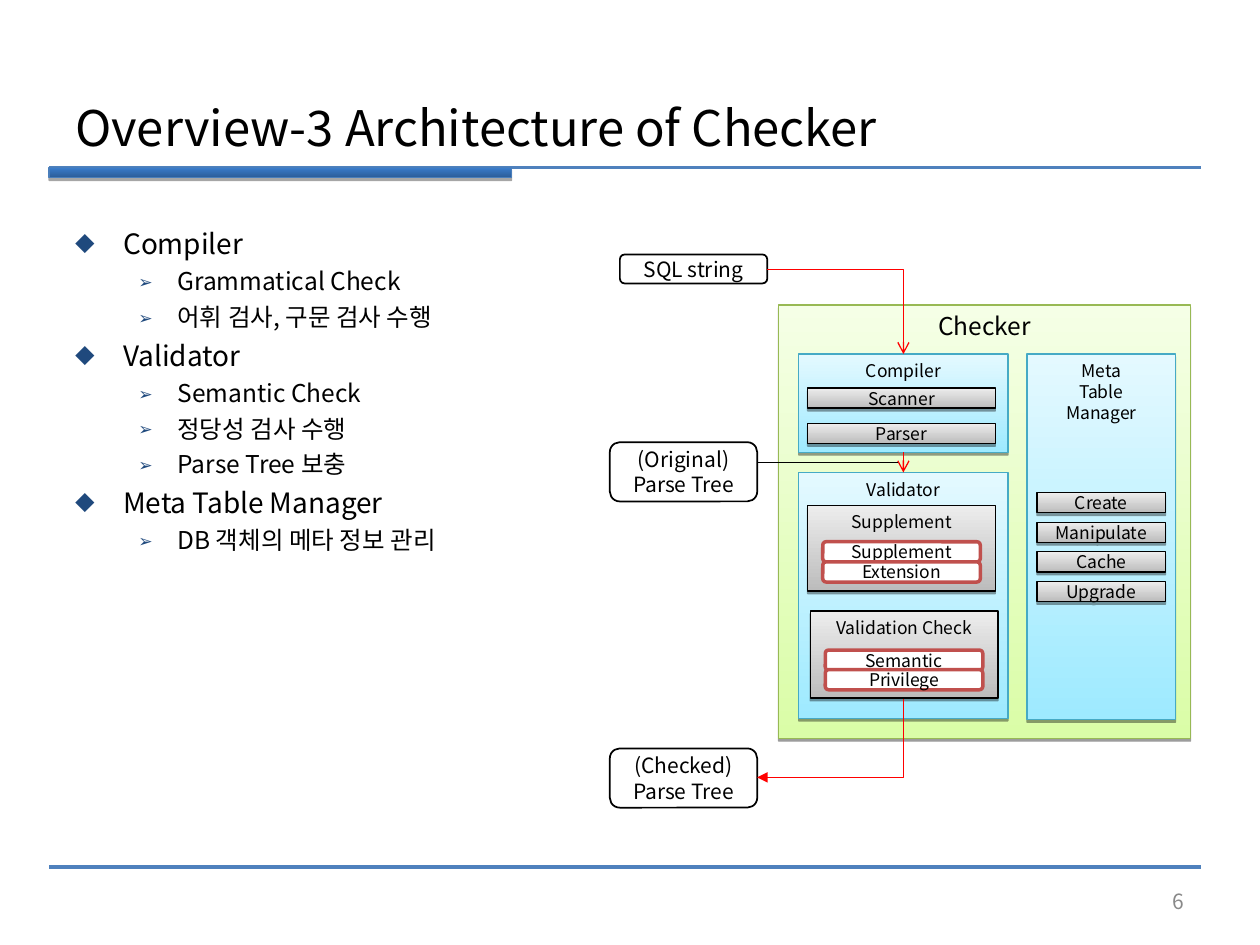
from dataclasses import dataclass

from lxml import etree
from pptx import Presentation
from pptx.dml.color import RGBColor
from pptx.enum.shapes import MSO_CONNECTOR, MSO_SHAPE
from pptx.enum.text import MSO_ANCHOR, PP_ALIGN
from pptx.oxml.ns import qn
from pptx.shapes.autoshape import Shape
from pptx.shapes.connector import Connector
from pptx.slide import Slide
from pptx.text.text import TextFrame
from pptx.util import Emu, Inches, Pt

RECTANGLE = MSO_SHAPE.RECTANGLE
ROUNDED = MSO_SHAPE.ROUNDED_RECTANGLE
STRAIGHT = MSO_CONNECTOR.STRAIGHT
ELBOW = MSO_CONNECTOR.ELBOW
TOP, MIDDLE = MSO_ANCHOR.TOP, MSO_ANCHOR.MIDDLE
LEFT, CENTER, RIGHT = PP_ALIGN.LEFT, PP_ALIGN.CENTER, PP_ALIGN.RIGHT
TOP_SIDE, BOTTOM_SIDE = 0, 2

FONT = "Noto Sans CJK KR"
COLUMNS, ROWS = 100, 75
CELL = Inches(0.1)
BLACK, RED, BLUE = "000000", "FF0000", "4F81BD"


@dataclass(frozen=True)
class Style:
    fill: tuple[str, ...]
    line: str
    width: float = 0.75
    size: float = 10
    anchor: MSO_ANCHOR = MIDDLE
    preset: MSO_SHAPE = RECTANGLE
    shadow: int = 38


@dataclass(frozen=True)
class Block:
    text: str
    left: float
    top: float
    width: float
    height: float
    style: Style


@dataclass(frozen=True)
class Level:
    size: float
    before: float
    margin: float
    hanging: float
    bullet: str


GREY = ("BCBCBC", "EDEDED")
AQUA = ("9EEAFF", "E4F9FF")
BAR = Style(("2C5D98", "3A7CCB"), "4A7EBB", shadow=35)
FRAME = Style(("DAFDA7", "F5FFE6"), "98B954", size=14, anchor=TOP)
MODULE = Style(AQUA, "46AAC5", anchor=TOP)
GROUP = Style(GREY, BLACK, anchor=TOP)
STEP = Style(GREY, BLACK)
DATA = Style(("FFFFFF",), BLACK, 1, 12, preset=ROUNDED, shadow=0)
TASK = Style(("FFFFFF",), "C0504D", 2, preset=ROUNDED, shadow=0)

HEADING = Level(16, 4, 0.38, 0.38, "◆")
DETAIL = Level(14, 3.5, 0.81, 0.31, "➢")
OUTLINE = [
    ("Compiler", HEADING),
    ("Grammatical Check", DETAIL),
    ("어휘 검사, 구문 검사 수행", DETAIL),
    ("Validator", HEADING),
    ("Semantic Check", DETAIL),
    ("정당성 검사 수행", DETAIL),
    ("Parse Tree 보충", DETAIL),
    ("Meta Table Manager", HEADING),
    ("DB 객체의 메타 정보 관리", DETAIL),
]

COMPILER = Block("Compiler", 63.4, 28.1, 16.6, 7.8, MODULE)
VALIDATOR = Block("Validator", 63.4, 37.5, 16.6, 19.5, MODULE)


def stack(names: str, left: float, top: float, width: float, pitch: float, style: Style) -> list[Block]:
    return [Block(name, left, top + row * pitch, width, 1.6, style) for row, name in enumerate(names.split())]


BLOCKS = [
    Block("", 3.9, 13.3, 36.7, 0.8, BAR),
    Block("Checker", 61.8, 24.2, 32.7, 34.4, FRAME),
    COMPILER,
    *stack("Scanner Parser", 64.1, 30.8, 14.9, 2.8, STEP),
    Block("SQL string", 49.2, 20.2, 11.7, 2.3, DATA),
    VALIDATOR,
    Block("Supplement", 64.1, 40.1, 14.9, 6.8, GROUP),
    *stack("Supplement Extension", 65.3, 43, 12.5, 1.6, TASK),
    Block("Validation Check", 64.3, 48.5, 14.9, 6.9, GROUP),
    *stack("Semantic Privilege", 65.5, 51.6, 12.5, 1.55, TASK),
    Block("(Original)\nParse Tree", 48.4, 35.1, 11.7, 4.7, DATA),
    Block("(Checked)\nParse Tree", 48.4, 59.4, 11.7, 4.7, DATA),
    Block("Meta\nTable\nManager", 81.5, 28.1, 11.8, 29, MODULE),
    *stack("Create Manipulate Cache Upgrade", 82.3, 39.1, 10.2, 2.35, STEP),
]


def cells(*counts: float) -> list[Emu]:
    return [Emu(round(count * CELL)) for count in counts]


def color(value: str) -> RGBColor:
    return RGBColor.from_string(value)


def add_element(parent, tag: str, **attributes):
    return etree.SubElement(parent, qn(tag), {name: str(value) for name, value in attributes.items()})


def write(frame: TextFrame, lines: list[str], size: float, ink: str, align: PP_ALIGN, anchor: MSO_ANCHOR) -> None:
    for name, value in {"word_wrap": True, "vertical_anchor": anchor}.items():
        setattr(frame, name, value)
    for index, line in enumerate(lines):
        para = frame.add_paragraph() if index else frame.paragraphs[0]
        para.alignment = align
        span = para.add_run()
        span.text = line
        for name, value in {"name": FONT, "size": Pt(size)}.items():
            setattr(span.font, name, value)
        span.font.color.rgb = color(ink)
        add_element(span.font._element, "a:ea", typeface=FONT)


def add_label(slide: Slide, lines: list[str], place: tuple[float, ...], size: float,
              ink: str = BLACK, align: PP_ALIGN = LEFT, anchor: MSO_ANCHOR = MIDDLE) -> TextFrame:
    frame = slide.shapes.add_textbox(*cells(*place)).text_frame
    write(frame, lines, size, ink, align, anchor)
    return frame


def add_outline(slide: Slide) -> None:
    frame = add_label(slide, [text for text, _ in OUTLINE], (5, 17.5, 44.2, 49.5), HEADING.size, anchor=TOP)
    for index, (para, (_, level)) in enumerate(zip(frame.paragraphs, OUTLINE)):
        properties = para._p.get_or_add_pPr()
        for name, value in {"marL": level.margin, "indent": -level.hanging}.items():
            properties.set(name, str(Inches(value)))
        add_element(add_element(properties, "a:buClr"), "a:srgbClr", val="1F497D")
        add_element(properties, "a:buSzPct", val=70000)
        add_element(properties, "a:buFont", typeface=FONT)
        add_element(properties, "a:buChar", char=level.bullet)
        para.space_before = Pt(level.before if index else 0)
        para.runs[0].font.size = Pt(level.size)


def add_block(slide: Slide, block: Block) -> Shape:
    style = block.style
    box = slide.shapes.add_shape(style.preset, *cells(block.left, block.top, block.width, block.height))
    if len(style.fill) > 1:
        box.fill.gradient()
        box.fill.gradient_angle = 90
        for stop, value in zip(box.fill.gradient_stops, style.fill):
            stop.color.rgb = color(value)
    else:
        box.fill.solid()
        box.fill.fore_color.rgb = color(style.fill[0])
    box.line.color.rgb = color(style.line)
    box.line.width = Pt(style.width)
    box.shadow.inherit = False
    if style.shadow:
        effects = box.element.spPr.find(qn("a:effectLst"))
        shadow = add_element(effects, "a:outerShdw", blurRad=0, dist=Pt(1.6), dir=5400000, rotWithShape=0)
        add_element(add_element(shadow, "a:srgbClr", val=BLACK), "a:alpha", val=style.shadow * 1000)
    if block.text:
        write(box.text_frame, block.text.split("\n"), style.size, BLACK, CENTER, style.anchor)
    return box


def add_line(slide: Slide, ends: tuple[float, ...], ink: str, width: float = 0.75,
             kind: MSO_CONNECTOR = STRAIGHT, **arrows: str) -> Connector:
    line = slide.shapes.add_connector(kind, *cells(*ends))
    line.line.color.rgb = color(ink)
    line.line.width = Pt(width)
    properties = line.element.spPr
    if kind == ELBOW:
        properties.find(qn("a:prstGeom")).set("prst", "bentConnector2")
    for end, arrow in arrows.items():
        add_element(properties.find(qn("a:ln")), f"a:{end}", type=arrow)
    add_element(properties, "a:effectLst")
    return line


def main() -> None:
    deck = Presentation()
    deck.slide_width, deck.slide_height = cells(COLUMNS, ROWS)
    slide = deck.slides.add_slide(deck.slide_layouts[6])
    for row in (68.8, 13.3):
        add_line(slide, (3.9, row, 95.3, row), BLUE, 2)
    add_label(slide, ["Overview-3 Architecture of Checker"], (5, 7, 90, 6.2), 28)
    add_outline(slide)
    boxes = {block: add_block(slide, block) for block in BLOCKS}
    add_line(slide, (60.9, 21.4, 71.7, 28.1), RED, kind=ELBOW, tailEnd="arrow")
    handover = add_line(slide, (71.7, 35.9, 71.7, 37.5), RED, tailEnd="arrow")
    handover.begin_connect(boxes[COMPILER], BOTTOM_SIDE)
    handover.end_connect(boxes[VALIDATOR], TOP_SIDE)
    add_line(slide, (71.3, 36.7, 60.2, 36.7), BLACK)
    add_line(slide, (60.1, 61.7, 71.7, 55.5), RED, kind=ELBOW, headEnd="triangle")
    add_label(slide, ["6"], (71.7, 69.5, 23.3, 4), 12, "898989", RIGHT)
    deck.save("out.pptx")


if __name__ == "__main__":
    main()
